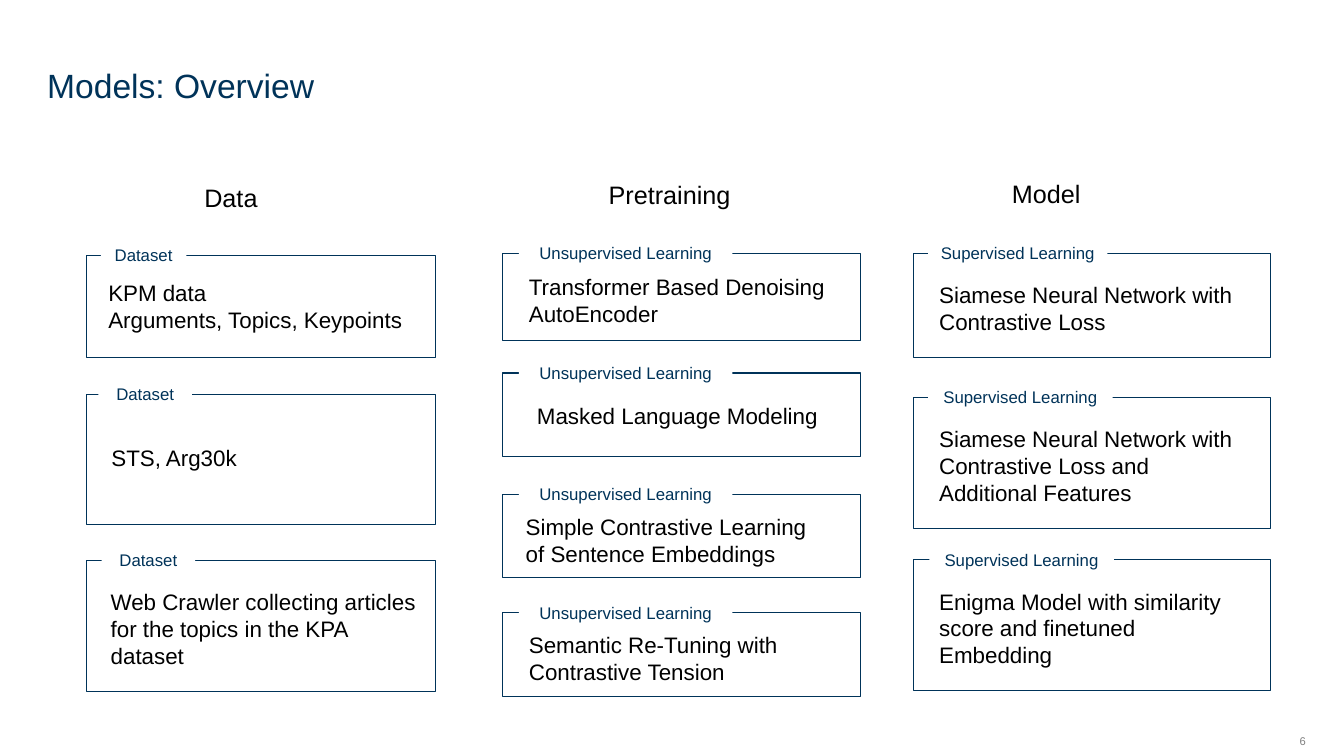
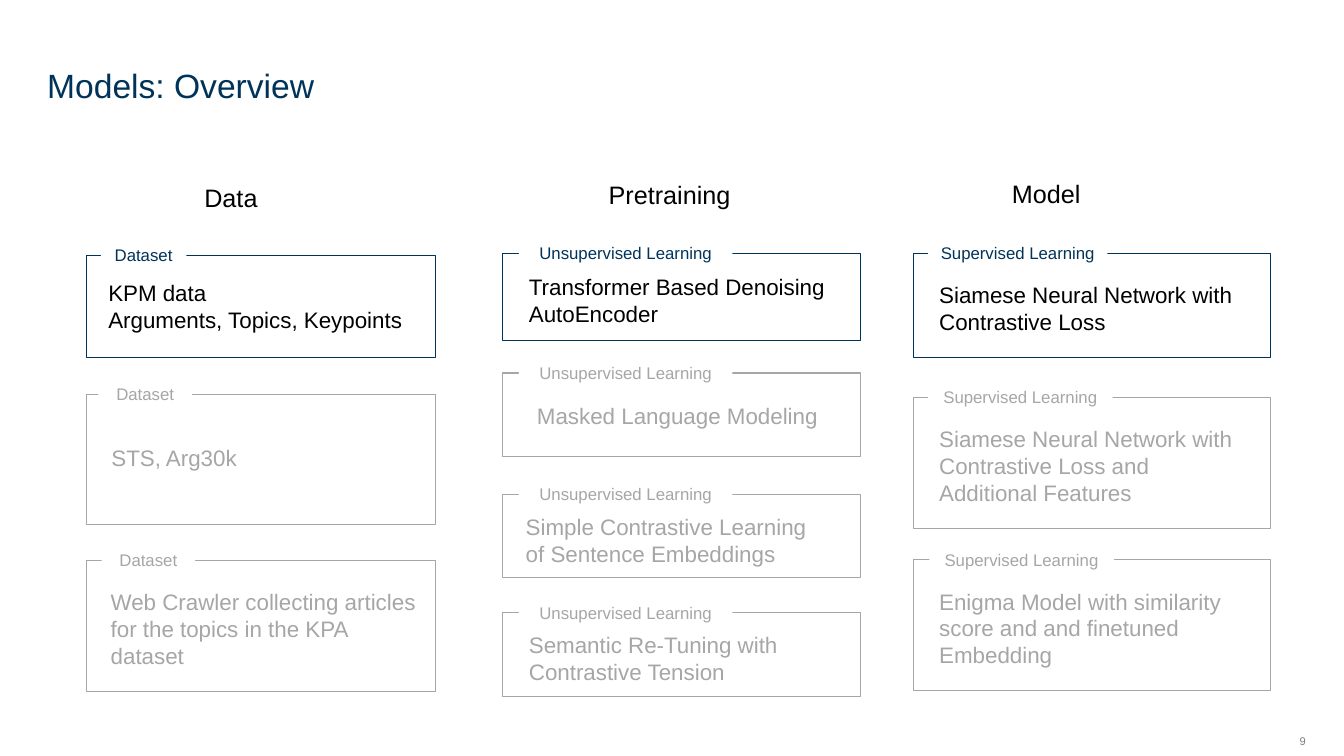
from dataclasses import dataclass

from pptx import Presentation
from pptx.dml.color import RGBColor
from pptx.enum.shapes import MSO_SHAPE as Shape
from pptx.enum.text import MSO_ANCHOR as Anchor, PP_ALIGN as Align
from pptx.util import Cm, Pt


@dataclass(frozen=True)
class Theme:
    font: str = "Arial"
    navy: RGBColor = RGBColor(0x00, 0x33, 0x59)
    black: RGBColor = RGBColor(0x00, 0x00, 0x00)
    muted: RGBColor = RGBColor(0xA6, 0xA6, 0xA6)
    footer: RGBColor = RGBColor(0x80, 0x80, 0x80)
    white: RGBColor = RGBColor(0xFF, 0xFF, 0xFF)
    title_size: int = 24
    heading_size: int = 18
    body_size: int = 16
    tag_size: int = 12
    footer_size: int = 8
    line_width: float = 0.75


THEME = Theme()
INSET_X, INSET_Y = 0.25, 0.13
TAG_HEIGHT = 0.77


# All lengths below are centimetres
@dataclass(frozen=True)
class Card:
    top: float
    height: float
    text: str
    text_dx: float
    text_dy: float
    tag_dx: float
    tag_width: float
    align: Align = Align.LEFT


@dataclass(frozen=True)
class Column:
    left: float
    width: float
    heading: str
    heading_dx: float
    heading_top: float
    tag: str
    text_width: float
    cards: tuple


def overview_columns(enigma_text):
    return (
        Column(2.18, 8.79, "Data", 2.72, 4.47, "Dataset", 8.42, (
            Card(6.43, 2.59, "KPM data\nArguments, Topics, Keypoints", 0.3, 0.48, 0.36, 2.16),
            Card(9.93, 3.3, "STS, Arg30k", 0.38, 1.12, 0.3, 2.36),
            Card(14.12, 3.3, "Web Crawler collecting articles for the topics in the KPA dataset",
                 0.36, 0.58, 0.38, 2.36),
        )),
        Column(12.67, 9.02, "Pretraining", 2.42, 4.39, "Unsupervised Learning", 7.98, (
            Card(6.38, 2.21, "Transformer Based Denoising AutoEncoder", 0.41, 0.38, 0.41, 5.38),
            Card(9.4, 2.11, "Masked Language Modeling", 0.41, 0.61, 0.41, 5.38, Align.CENTER),
            Card(12.45, 2.11, "Simple Contrastive Learning of Sentence Embeddings",
                 0.33, 0.36, 0.41, 5.38),
            Card(15.44, 2.11, "Semantic Re-Tuning with Contrastive Tension",
                 0.41, 0.33, 0.41, 5.38),
        )),
        Column(23.01, 9.02, "Model", 2.24, 4.37, "Supervised Learning", 7.98, (
            Card(6.38, 2.64, "Siamese Neural Network with Contrastive Loss",
                 0.41, 0.58, 0.38, 4.52),
            Card(10.01, 3.3, "Siamese Neural Network with Contrastive Loss and Additional Features",
                 0.41, 0.58, 0.38, 4.65),
            Card(14.1, 3.3, enigma_text, 0.41, 0.58, 0.41, 4.65),
        )),
    )


def write(box, text, *, size, color, align=Align.LEFT, anchor=Anchor.TOP,
          insets=(INSET_X, INSET_Y, INSET_X, INSET_Y)):
    """Fill a shape with one paragraph per line of text."""
    frame = box.text_frame
    frame.word_wrap = True
    frame.vertical_anchor = anchor
    (frame.margin_left, frame.margin_top,
     frame.margin_right, frame.margin_bottom) = map(Cm, insets)
    for index, line in enumerate(text.split("\n")):
        para = frame.paragraphs[0] if index == 0 else frame.add_paragraph()
        para.alignment = align
        span = para.add_run()
        span.text = line
        span.font.name = THEME.font
        span.font.size = Pt(size)
        span.font.color.rgb = color


def add_text(page, left, top, width, height, text, **style):
    box = page.shapes.add_textbox(Cm(left), Cm(top), Cm(width), Cm(height))
    write(box, text, **style)


def add_rectangle(page, left, top, width, height, fill=None, line=None):
    box = page.shapes.add_shape(Shape.RECTANGLE, Cm(left), Cm(top), Cm(width), Cm(height))
    box.shadow.inherit = False
    if fill is None:
        box.fill.background()
    else:
        box.fill.solid()
        box.fill.fore_color.rgb = fill
    if line is None:
        box.line.fill.background()
    else:
        box.line.color.rgb = line
        box.line.width = Pt(THEME.line_width)
    return box


def add_frame(page, title, number):
    """Title and page number."""
    add_text(page, 0.94, 0.05, 29.41, 2.59, title, size=THEME.title_size,
             color=THEME.navy, anchor=Anchor.BOTTOM, insets=(INSET_X, 0, INSET_X, 0))
    add_text(page, 32, 18.26, 0.91, 0.81, str(number), size=THEME.footer_size,
             color=THEME.footer, align=Align.RIGHT, anchor=Anchor.MIDDLE,
             insets=(INSET_X, INSET_Y, 0, INSET_Y))


def add_card(page, column, card, active):
    """Outlined box whose tag interrupts the top edge."""
    accent = THEME.navy if active else THEME.muted
    ink = THEME.black if active else THEME.muted
    add_rectangle(page, column.left, card.top, column.width, card.height, line=accent)
    add_text(page, column.left + card.text_dx, card.top + card.text_dy,
             column.text_width, card.height - 2 * card.text_dy, card.text,
             size=THEME.body_size, color=ink, align=card.align)
    tag = add_rectangle(page, column.left + card.tag_dx, card.top - TAG_HEIGHT / 2,
                        card.tag_width, TAG_HEIGHT, fill=THEME.white)
    write(tag, column.tag, size=THEME.tag_size, color=accent, align=Align.CENTER)


def add_column(page, column, active_count):
    add_text(page, column.left + column.heading_dx, column.heading_top, 3.71, 1.02,
             column.heading, size=THEME.heading_size, color=THEME.black)
    for index, card in enumerate(column.cards):
        add_card(page, column, card, index < active_count)


def add_overview(deck, number, columns, active_count):
    page = deck.slides.add_slide(deck.slide_layouts[6])
    add_frame(page, "Models: Overview", number)
    for column in columns:
        add_column(page, column, active_count)


def main():
    deck = Presentation()
    deck.slide_width, deck.slide_height = Cm(33.87), Cm(19.05)

    # All models, then only the first choice of each column
    add_overview(deck, 6, overview_columns(
        "Enigma Model with similarity score and finetuned Embedding"), active_count=4)
    add_overview(deck, 9, overview_columns(
        "Enigma Model with similarity score and and finetuned Embedding"), active_count=1)

    deck.save("out.pptx")


if __name__ == "__main__":
    main()
